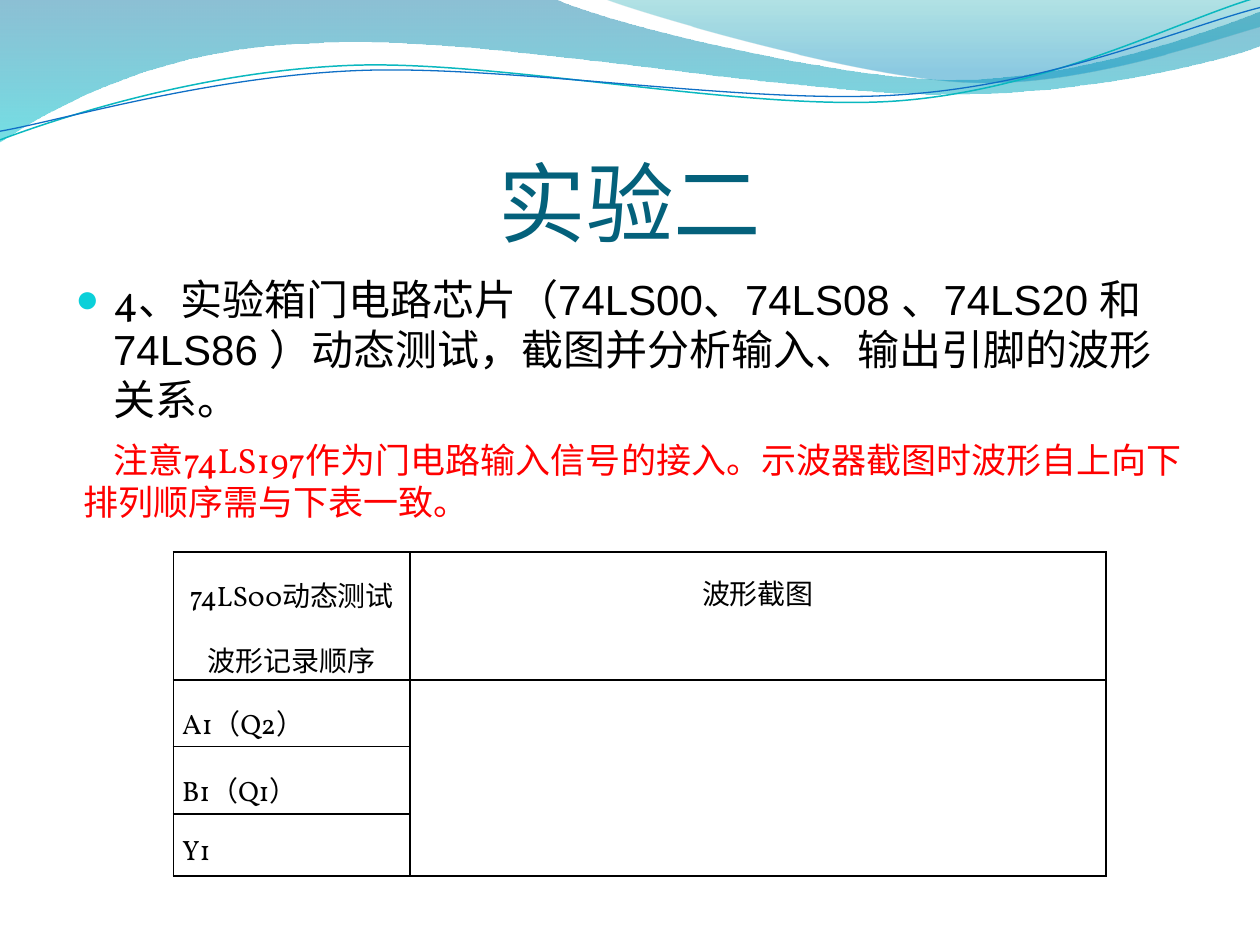
from lxml import etree
from pptx import Presentation
from pptx.dml.color import RGBColor
from pptx.enum.text import MSO_ANCHOR, MSO_AUTO_SIZE, PP_ALIGN
from pptx.oxml.ns import qn
from pptx.util import Pt

CENTER, JUSTIFY = PP_ALIGN.CENTER, PP_ALIGN.JUSTIFY
TITLE_ONLY = 5
COLORS = {
    "text": "000000", "title": "04617B", "note": "FF0000", "bullet": "0BD0D9",
    "deep": "0074A1", "cyan": "00C6CF", "teal": "00A1A9", "sky": "008BBF",
    "teal line": "0AB8BF", "blue line": "0F6FC6",
}
SERIF, SANS, HEADING = "Vollkorn", "Arial", "Calibri"


def add_text(paragraph, text, size=24, font=SERIF, color="text"):
    run = paragraph.add_run()
    run.text = text
    run.font.size = Pt(size)
    run.font.name = font
    run.font.color.rgb = RGBColor.from_string(COLORS[color])


def add_wave(shapes, start, segments, close):
    """Draw lines (x, y) and Bezier curves (two controls and an end), in points."""
    builder = shapes.build_freeform(Pt(start[0]), Pt(start[1]))
    for segment in segments:
        points = zip(segment[::2], segment[1::2])
        builder.add_line_segments([(Pt(x), Pt(y)) for x, y in points], close=False)
    if close:
        builder.add_line_segments([], close=True)
    shape = builder.convert_to_shape()
    shape.shadow.inherit = False
    # Join the three points of each curve into one Bezier segment
    lines = iter(list(shape._element.spPr.iter(qn("a:lnTo"))))
    for segment in segments:
        curve = next(lines)
        if len(segment) == 6:
            curve.tag = qn("a:cubicBezTo")
            for line in (next(lines), next(lines)):
                curve.append(line[0])
                line.getparent().remove(line)
    return shape


presentation = Presentation()
presentation.slide_width, presentation.slide_height = Pt(720), Pt(540)
slide = presentation.slides.add_slide(presentation.slide_layouts[TITLE_ONLY])

# Filled waves along the top: start, segments, gradient stops (color, alpha %), stop positions
bands = [
    ((0, 0),
     [(316.8, -0.7), (342.7, 12.2, 478.1, 45.4, 545.8, 45.4),
      (614.2, 45.4, 689.8, 18.7, 720, 6.5), (720.7, 25.9),
      (707.8, 31.7, 626.4, 54.7, 537.1, 54), (447.8, 54, 275, 20.2, 185, 24.5),
      (92.9, 25.9, 33.1, 59.8, -0.7, 81.4)],
     [("deep", 45), ("cyan", 55)], (0, 1)),
    ((344.9, -0.7),
     [(366.5, 7.9, 491, 44.6, 553.7, 46.8), (616.3, 49.7, 691.9, 23, 720, 15.1), (720, 0)],
     [("teal", 30), ("sky", 45)], (0, 0.8)),
]
for start, segments, stops, positions in bands:
    band = add_wave(slide.shapes, start, segments, close=True)
    band.line.fill.background()
    band.fill.gradient()
    band.fill.gradient_angle = 270
    for stop, (color, alpha), position in zip(band.fill.gradient_stops, stops, positions):
        stop.color.rgb = RGBColor.from_string(COLORS[color])
        stop.position = position
    for element, (color, alpha) in zip(band._element.spPr.iter(qn("a:srgbClr")), stops):
        etree.SubElement(element, qn("a:alpha"), val=str(alpha * 1000))

# Thin wave lines, slightly turned
curves = [
    ((-1.4, 63),
     [(33.8, 51.7, 114.1, 29.4, 199.8, 29.9), (284.8, 30.3, 425.8, 67.3, 512.4, 64.9),
      (599, 62.4, 676.5, 25.7, 720.2, 15.5)], "teal line", 0.85),
    ((-1.1, 58),
     [(32.9, 53.8, 118.3, 32.5, 204.1, 33), (290.6, 33.4, 428.9, 63.8, 515.5, 61.4),
      (601.4, 59.6, 678.4, 30.1, 721.4, 21.3)], "blue line", 0.75),
]
for start, segments, color, width in curves:
    curve = add_wave(slide.shapes, start, segments, close=False)
    curve.rotation = 357.3
    curve.fill.background()
    curve.line.color.rgb = RGBColor.from_string(COLORS[color])
    curve.line.width = Pt(width)

# Title
title = slide.shapes.title
title.left, title.top, title.width, title.height = Pt(36), Pt(55.4), Pt(648), Pt(90)
frame = title.text_frame
frame.auto_size = MSO_AUTO_SIZE.NONE
frame.vertical_anchor = MSO_ANCHOR.BOTTOM
frame.margin_left = frame.margin_right = frame.margin_bottom = 0
frame.margin_top = Pt(3.6)
paragraph = frame.paragraphs[0]
paragraph.alignment = CENTER
add_text(paragraph, "实验二", size=50, font=HEADING, color="title")

# Body: bulleted task and red note
frame = slide.shapes.add_textbox(Pt(36), Pt(152.6), Pt(648), Pt(345.6)).text_frame
frame.word_wrap = True
task = frame.paragraphs[0]
properties = task._p.get_or_add_pPr()
properties.set("marL", str(Pt(21.6)))
properties.set("indent", str(Pt(-21.6)))
bullet_color = etree.SubElement(properties, qn("a:buClr"))
etree.SubElement(bullet_color, qn("a:srgbClr"), val=COLORS["bullet"])
etree.SubElement(properties, qn("a:buSzPct"), val="95000")
etree.SubElement(properties, qn("a:buFont"), typeface=SANS)
etree.SubElement(properties, qn("a:buChar"), char="●")
add_text(task, "4、实验箱")
add_text(task, "门电路芯片（74LS00、74LS08 、74LS20 和74LS86 ）动态测试，截图并分析", font=SANS)
add_text(task, "输入、输出引脚的波形关系。")

note = frame.add_paragraph()
note.space_before = Pt(8)
note._p.get_or_add_pPr().set("indent", str(Pt(21.6)))
add_text(note, "注意74LS197作为门电路输入信号的接入。示波器截图时波形自上向下  排列顺序需与下表一致。",
         size=20, color="note")

# Waveform table
row_heights, column_widths = [73.1, 38.1, 38.5, 35.4], [135.2, 397.6]
table_shape = slide.shapes.add_table(
    len(row_heights), len(column_widths), Pt(99.1), Pt(315.4),
    Pt(sum(column_widths)), Pt(sum(row_heights)))
table = table_shape.table
table.first_row = table.horz_banding = False
for row, height in zip(table.rows, row_heights):
    row.height = Pt(height)
for column, width in zip(table.columns, column_widths):
    column.width = Pt(width)

for cell in table.iter_cells():
    cell.margin_left = cell.margin_right = Pt(5)
    cell.margin_top = cell.margin_bottom = 0
    cell.fill.background()
    cell_properties = cell._tc.get_or_add_tcPr()
    for index, side in enumerate(("lnL", "lnR", "lnT", "lnB")):
        border = etree.Element(qn(f"a:{side}"), w=str(Pt(1)))
        fill = etree.SubElement(border, qn("a:solidFill"))
        etree.SubElement(fill, qn("a:srgbClr"), val=COLORS["text"])
        cell_properties.insert(index, border)
table.cell(1, 1).merge(table.cell(3, 1))

entries = [
    (0, 0, "74LS00动态测试波形记录顺序", CENTER),
    (0, 1, "波形截图", CENTER),
    (1, 0, "A1（Q2）", JUSTIFY),
    (2, 0, "B1（Q1）", JUSTIFY),
    (3, 0, "Y1", JUSTIFY),
]
for row, column, text, alignment in entries:
    paragraph = table.cell(row, column).text_frame.paragraphs[0]
    paragraph.alignment = alignment
    paragraph.line_spacing = 1.5
    add_text(paragraph, text, size=16)

presentation.save("out.pptx")
